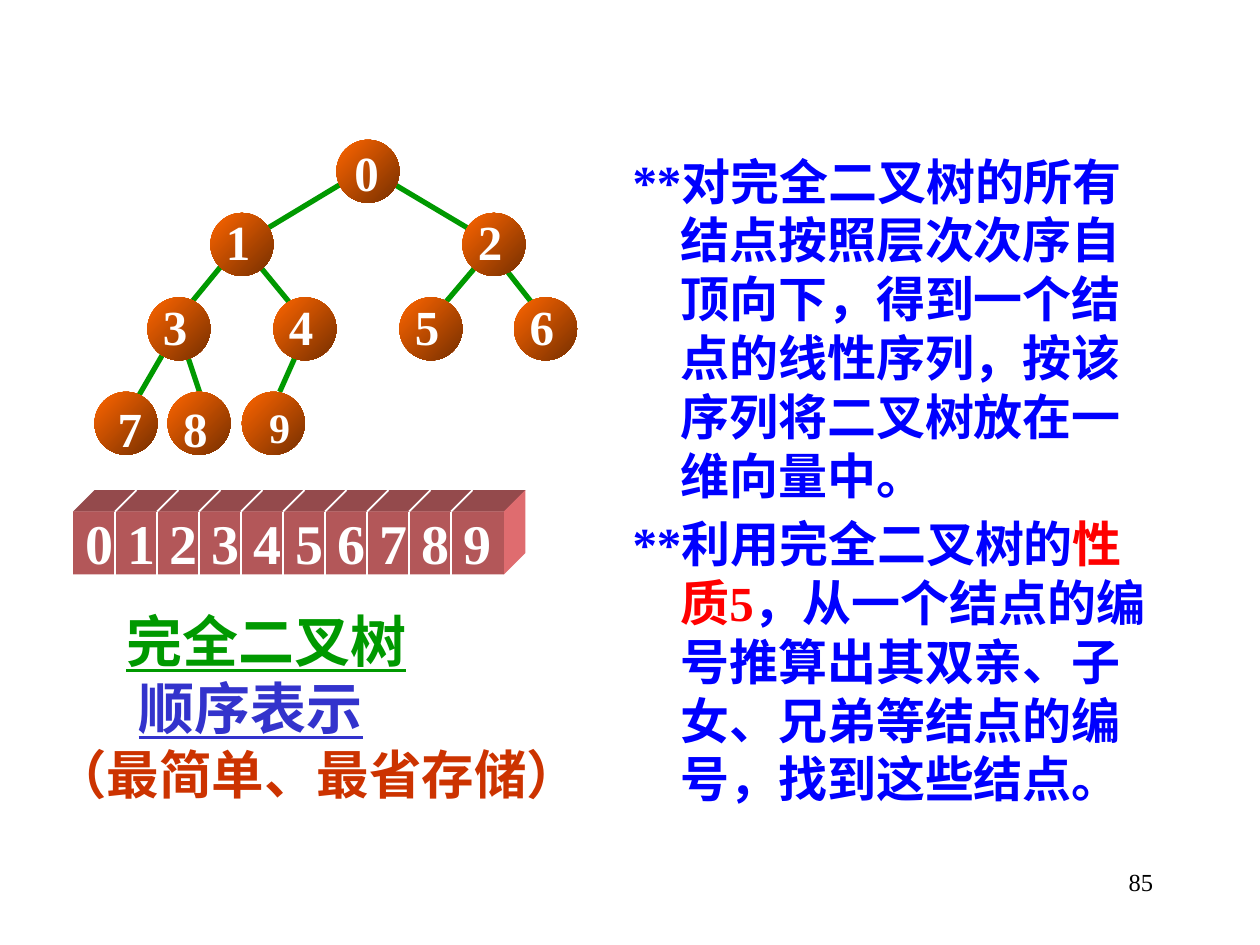
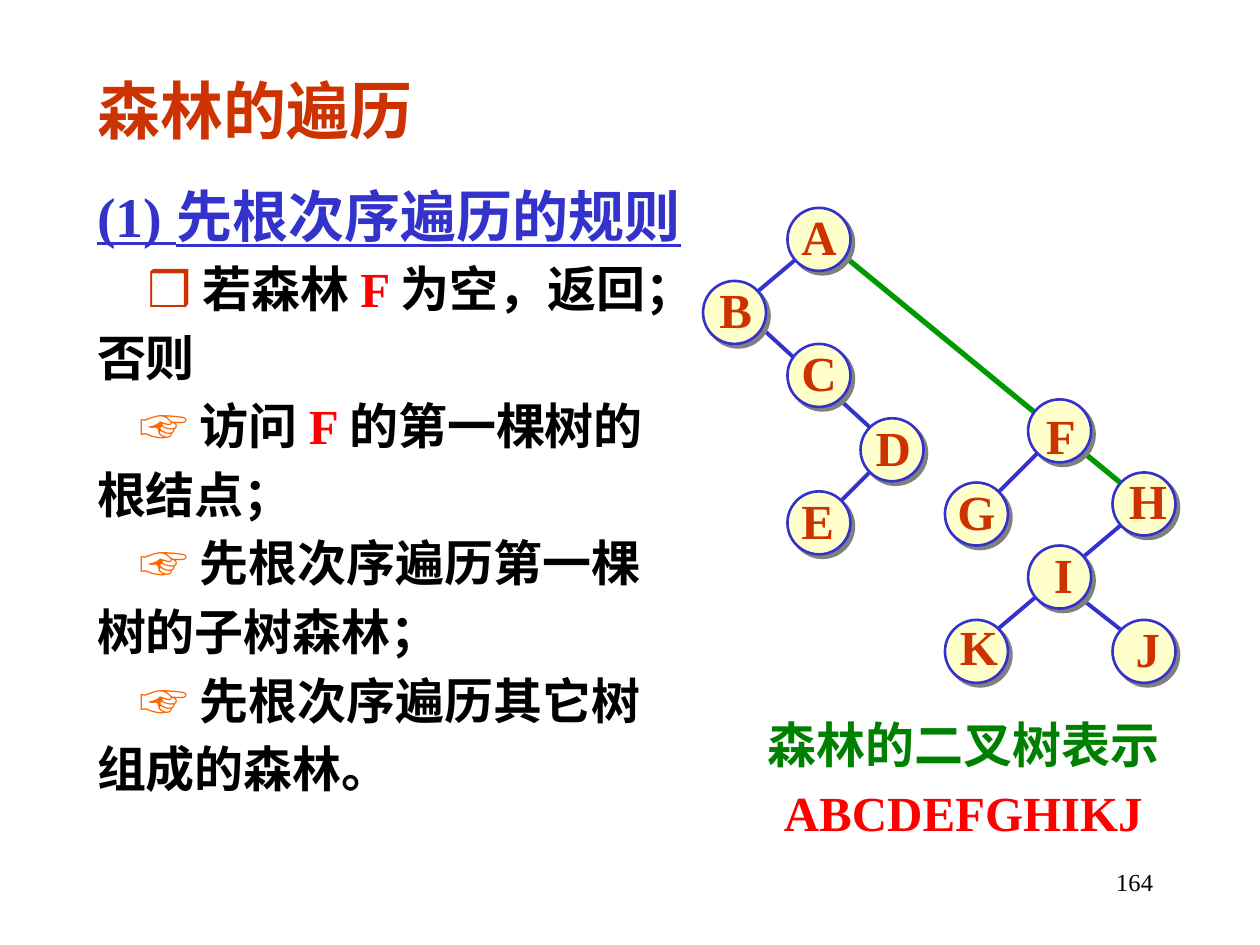
"""Build two slides on binary trees: array storage and preorder traversal of a forest."""
from dataclasses import dataclass
from typing import NamedTuple

from lxml import etree
from pptx import Presentation
from pptx.dml.color import RGBColor
from pptx.enum.shapes import MSO_CONNECTOR, MSO_SHAPE
from pptx.enum.text import MSO_ANCHOR, MSO_AUTO_SIZE, PP_ALIGN
from pptx.oxml.ns import qn
from pptx.util import Inches, Pt

STRAIGHT = MSO_CONNECTOR.STRAIGHT
ELLIPSE, RECT = MSO_SHAPE.OVAL, MSO_SHAPE.RECTANGLE
TOP, MIDDLE, BOTTOM = MSO_ANCHOR.TOP, MSO_ANCHOR.MIDDLE, MSO_ANCHOR.BOTTOM
LEFT, CENTER, RIGHT = PP_ALIGN.LEFT, PP_ALIGN.CENTER, PP_ALIGN.RIGHT
NO_AUTOFIT = MSO_AUTO_SIZE.NONE

COLORS = {
    "green": "009900", "caption_green": "008000", "indigo": "3333CC", "blue": "0000FF",
    "brick": "CC3300", "red": "FF0000", "orange": "FF6600", "brown": "762F00",
    "cream": "FFFFCC", "shadow": "808080", "white": "FFFFFF", "black": "000000",
    "bar_front": "B35759", "bar_top": "944A4C", "bar_side": "DF6C6F",
}
TIMES, ARIAL, CJK = "Times New Roman", "Arial", "Noto Sans CJK SC"
NODE_SIZE = 0.5
LINE_HEIGHT = 1.2


class Span(NamedTuple):
    """A piece of text in one colour."""
    text: str
    color: str
    size: float = 28
    underline: bool = False
    bold: bool = True


@dataclass
class Para:
    """A paragraph with its spans and indents in inches."""
    spans: list[Span]
    margin: float = 0
    indent: float = 0
    align: PP_ALIGN = LEFT
    before: float = 0


class Box(NamedTuple):
    """A rectangle in inches."""
    x: float
    y: float
    w: float
    h: float


class Node(NamedTuple):
    """A tree node: label, corner, and the label's shift from the centre."""
    label: str
    x: float
    y: float
    dx: float = 0
    dy: float = -0.03
    size: float = 28


class Edge(NamedTuple):
    """A straight line between two points."""
    x1: float
    y1: float
    x2: float
    y2: float
    color: str
    width: float


def rgb(name: str) -> RGBColor:
    """Look up a colour by name."""
    return RGBColor.from_string(COLORS[name])


def place(shape, box: Box) -> None:
    """Move and size a shape."""
    shape.left, shape.top, shape.width, shape.height = (Inches(v) for v in box)


def write(tf, paras: list[Para], font: str = TIMES, anchor=TOP, wrap: bool = True) -> None:
    """Fill a text frame with formatted paragraphs."""
    tf.auto_size, tf.word_wrap, tf.vertical_anchor = NO_AUTOFIT, wrap, anchor
    for i, para in enumerate(paras):
        p = tf.add_paragraph() if i else tf.paragraphs[0]
        pPr = p._p.get_or_add_pPr()
        pPr.set("marL", str(Inches(para.margin)))
        pPr.set("indent", str(Inches(para.indent)))
        etree.SubElement(pPr, qn("a:buNone"))
        p.alignment = para.align
        p.space_before = Pt(para.before if i else 0)
        p.line_spacing = Pt(round(max(s.size for s in para.spans) * LINE_HEIGHT, 1))
        for span in para.spans:
            r = p.add_run()
            r.text = span.text
            r.font.name, r.font.size = font, Pt(span.size)
            r.font.bold, r.font.underline = span.bold, span.underline
            r.font.color.rgb = rgb(span.color)
            ea = etree.Element(qn("a:ea"), typeface=CJK)
            r.font._element.find(qn("a:latin")).addnext(ea)


def add_text(s, box: Box, paras: list[Para], font: str = TIMES, anchor=TOP,
             wrap: bool = True) -> None:
    """Add a text box."""
    tb = s.shapes.add_textbox(*(Inches(v) for v in box))
    write(tb.text_frame, paras, font, anchor, wrap)


def add_page_number(s, number: int) -> None:
    """Add the page number at the lower right."""
    span = Span(str(number), "black", 14, bold=False)
    add_text(s, Box(7.17, 6.83, 2.08, 0.5), [Para([span], align=RIGHT)])


def add_edge(s, edge: Edge) -> None:
    """Draw a straight line without a shadow."""
    ends = (Inches(v) for v in edge[:4])
    cn = s.shapes.add_connector(STRAIGHT, *ends)
    cn.line.color.rgb = rgb(edge.color)
    cn.line.width = Pt(edge.width)
    etree.SubElement(cn._element.spPr, qn("a:effectLst"))


def style_dark(sp) -> None:
    """Give a node an orange to brown gradient."""
    sp.shadow.inherit = False
    sp.line.fill.background()
    sp.fill.gradient()
    sp.fill.gradient_angle = 315
    for stop, position, color in zip(sp.fill.gradient_stops, (0, 1), ("orange", "brown")):
        stop.position = position
        stop.color.rgb = rgb(color)


def style_light(sp) -> None:
    """Give a node a cream fill, an indigo outline and a hard shadow."""
    sp.fill.solid()
    sp.fill.fore_color.rgb = rgb("cream")
    sp.line.color.rgb = rgb("indigo")
    sp.line.width = Pt(1.5)
    effects = etree.SubElement(sp._element.spPr, qn("a:effectLst"))
    shadow = etree.SubElement(effects, qn("a:outerShdw"), dist=str(Pt(2.8)),
                              dir="2700000", algn="ctr", rotWithShape="0")
    etree.SubElement(shadow, qn("a:srgbClr"), val=COLORS["shadow"])


def add_tree(s, nodes: list[Node], edges: list[Edge], style, color: str) -> None:
    """Draw the edges, then the nodes with their labels."""
    for edge in edges:
        add_edge(s, edge)
    for n in nodes:
        sp = s.shapes.add_shape(ELLIPSE, Inches(n.x), Inches(n.y),
                                Inches(NODE_SIZE), Inches(NODE_SIZE))
        style(sp)
        box = Box(n.x + n.dx, n.y + n.dy - 0.03, NODE_SIZE, 0.57)
        add_text(s, box, [Para([Span(n.label, color, n.size)], align=CENTER)],
                 anchor=MIDDLE, wrap=False)


def fill_plain(sp, color: str) -> None:
    """Give a shape a flat fill and no outline."""
    sp.shadow.inherit = False
    sp.fill.solid()
    sp.fill.fore_color.rgb = rgb(color)
    sp.line.fill.background()


def add_array(s, count: int) -> None:
    """Draw the array as a solid bar cut into numbered cells."""
    x, y, w, h, depth = 0.58, 4.06, 3.42, 0.5, 0.17
    right, bottom, cell = x + w, y + h, 1 / 3
    faces = {
        "bar_top": [(x, y), (x + depth, y - depth), (right + depth, y - depth), (right, y)],
        "bar_side": [(right, y), (right + depth, y - depth),
                     (right + depth, bottom - depth), (right, bottom)],
    }
    for color, points in faces.items():
        corners = [(Inches(px), Inches(py)) for px, py in points]
        fb = s.shapes.build_freeform(*corners[0])
        fb.add_line_segments(corners[1:])
        fill_plain(fb.convert_to_shape(), color)
    front = s.shapes.add_shape(RECT, *(Inches(v) for v in (x, y, w, h)))
    fill_plain(front, "bar_front")
    for i in range(1, count):
        cut = x + i * cell
        add_edge(s, Edge(cut, y, cut, bottom, "white", 1.5))
        add_edge(s, Edge(cut, y, cut + depth, y - depth, "white", 1))
    digits = " ".join(str(i) for i in range(count))
    add_text(s, Box(x, 3.98, 3.57, 0.64), [Para([Span(digits, "white", 32)])],
             anchor=MIDDLE, wrap=False)


def build_storage(prs) -> None:
    """Build the slide on storing a complete binary tree in an array."""
    s = prs.slides.add_slide(prs.slide_layouts[1])
    title, body = s.placeholders
    place(title, Box(0.9, 4.76, 2.49, 1.17))
    write(title.text_frame, [
        Para([Span("完全二叉树", "green", 32, True)]),
        Para([Span("顺序表示", "indigo", 32, True)], margin=0.1),
    ], CJK)
    place(body, Box(4.92, 1.15, 4.33, 5.51))
    rules = [
        [Span("**对完全二叉树的所有结点按照层次次序自顶向下，得到一个结点的线性序列，"
              "按该序列将二叉树放在一维向量中。", "blue")],
        [Span("**利用完全二叉树的", "blue"), Span("性质5", "red"),
         Span("，从一个结点的编号推算出其双亲、子女、兄弟等结点的编号，找到这些结点。", "blue")],
    ]
    write(body.text_frame, [Para(spans, 0.38, -0.38, before=5.6) for spans in rules])

    nodes = [
        Node("0", 2.67, 1.11, -0.01, 0), Node("1", 1.67, 1.69, -0.03),
        Node("2", 3.67, 1.69, -0.03), Node("3", 1.17, 2.36, -0.03),
        Node("4", 2.17, 2.36, -0.03), Node("5", 3.17, 2.36, -0.03),
        Node("6", 4.08, 2.36, -0.03), Node("7", 0.75, 3.11, 0.03, 0.03),
        Node("8", 1.33, 3.11, -0.03, 0.03), Node("9", 1.92, 3.11, 0.05, 0.02, 24),
    ]
    ends = [
        (2.79, 1.41, 1.96, 1.91), (3.04, 1.41, 3.83, 1.88), (1.79, 2.07, 1.38, 2.57),
        (1.96, 1.99, 2.33, 2.44), (3.85, 2.03, 3.46, 2.49), (3.96, 2.07, 4.29, 2.49),
        (1.38, 2.66, 1.09, 3.16), (1.46, 2.74, 1.61, 3.19), (2.42, 2.66, 2.22, 3.11),
    ]
    add_tree(s, nodes, [Edge(*e, "green", 3) for e in ends], style_dark, "white")
    add_array(s, len(nodes))
    add_text(s, Box(0.27, 5.94, 4.49, 0.5),
             [Para([Span("（最简单、最省存储）", "brick", 30)], align=CENTER)], ARIAL, BOTTOM)
    add_page_number(s, 85)


def build_traversal(prs) -> None:
    """Build the slide on preorder traversal of a forest."""
    s = prs.slides.add_slide(prs.slide_layouts[1])
    title, body = s.placeholders
    place(title, Box(0.67, 0.52, 2.75, 0.7))
    write(title.text_frame, [Para([Span("森林的遍历", "brick", 36)])], ARIAL)

    forest = Span("F ", "red")
    steps = [
        ([Span("❒", "brick"), Span(" 若森林 ", "black"), forest,
          Span("为空，返回；", "black")], "否则"),
        ([Span("☞", "orange"), Span(" 访问 ", "black"), forest,
          Span("的第一棵树的", "black")], "根结点；"),
        ([Span("☞", "orange"), Span(" 先根次序遍历第一棵", "black")], "树的子树森林；"),
        ([Span("☞", "orange"), Span(" 先根次序遍历其它树", "black")], "组成的森林。"),
    ]
    paras = [Para([Span("(1) 先根次序遍历的规则", "indigo", 32, True)])]
    for i, (first_line, rest) in enumerate(steps):
        paras.append(Para(first_line, indent=0.34 if i else 0.4, before=5.6))
        paras.append(Para([Span(rest, "black")], before=5.6))
    place(body, Box(0.67, 1.39, 5.35, 5.2))
    write(body.text_frame, paras)

    nodes = [
        Node("A", 6.25, 1.65), Node("B", 5.58, 2.23, 0.01), Node("C", 6.25, 2.73),
        Node("D", 6.83, 3.32, 0.01), Node("E", 6.25, 3.9, -0.01),
        Node("F", 8.16, 3.17, 0.01, 0.03), Node("G", 7.5, 3.83),
        Node("H", 8.83, 3.75, 0.03, -0.04), Node("I", 8.16, 4.33, 0.03),
        Node("K", 7.5, 4.92, 0.02, -0.05), Node("J", 8.83, 4.92, 0.03),
    ]
    ends = [
        (6.41, 1.98, 5.91, 2.4), (5.91, 2.48, 7, 3.48), (7, 3.65, 6.58, 4.07),
        (8.33, 3.5, 7.83, 4), (9, 4.08, 7.91, 5), (8.58, 4.75, 9, 5.08),
    ]
    edges = [Edge(6.66, 2, 9, 3.92, "green", 3)]
    edges += [Edge(*e, "indigo", 2.25) for e in ends]
    add_tree(s, nodes, edges, style_light, "brick")
    add_text(s, Box(5.75, 5.62, 3.79, 1.13), [
        Para([Span("森林的二叉树表示", "caption_green")], align=CENTER),
        Para([Span("ABCDEFGHIKJ", "red")], align=CENTER, before=5.6),
    ])
    add_page_number(s, 164)


def main() -> None:
    """Build and save the presentation."""
    prs = Presentation()
    prs.slide_width, prs.slide_height = Inches(10), Inches(7.5)
    build_storage(prs)
    build_traversal(prs)
    prs.save("out.pptx")


if __name__ == "__main__":
    main()
